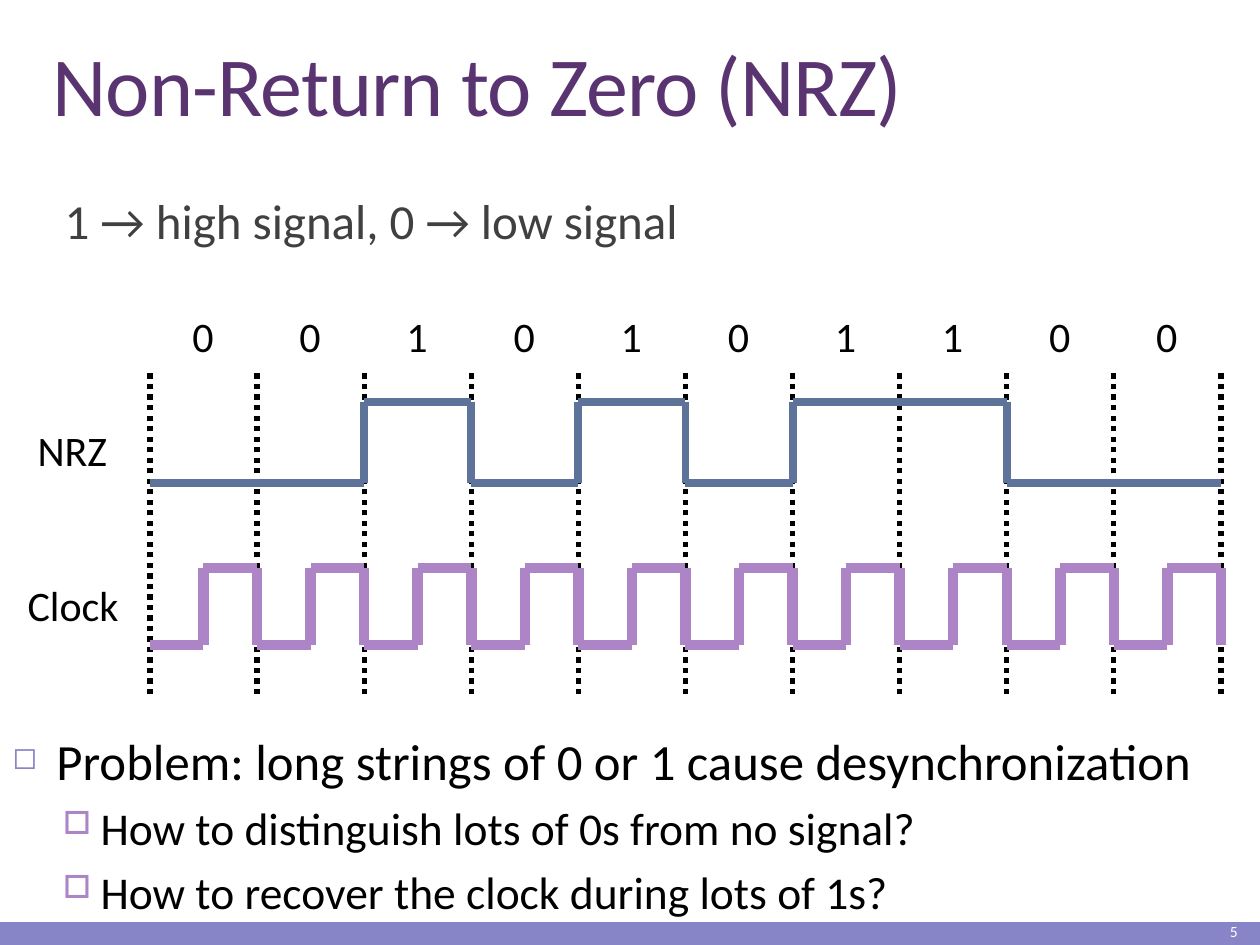
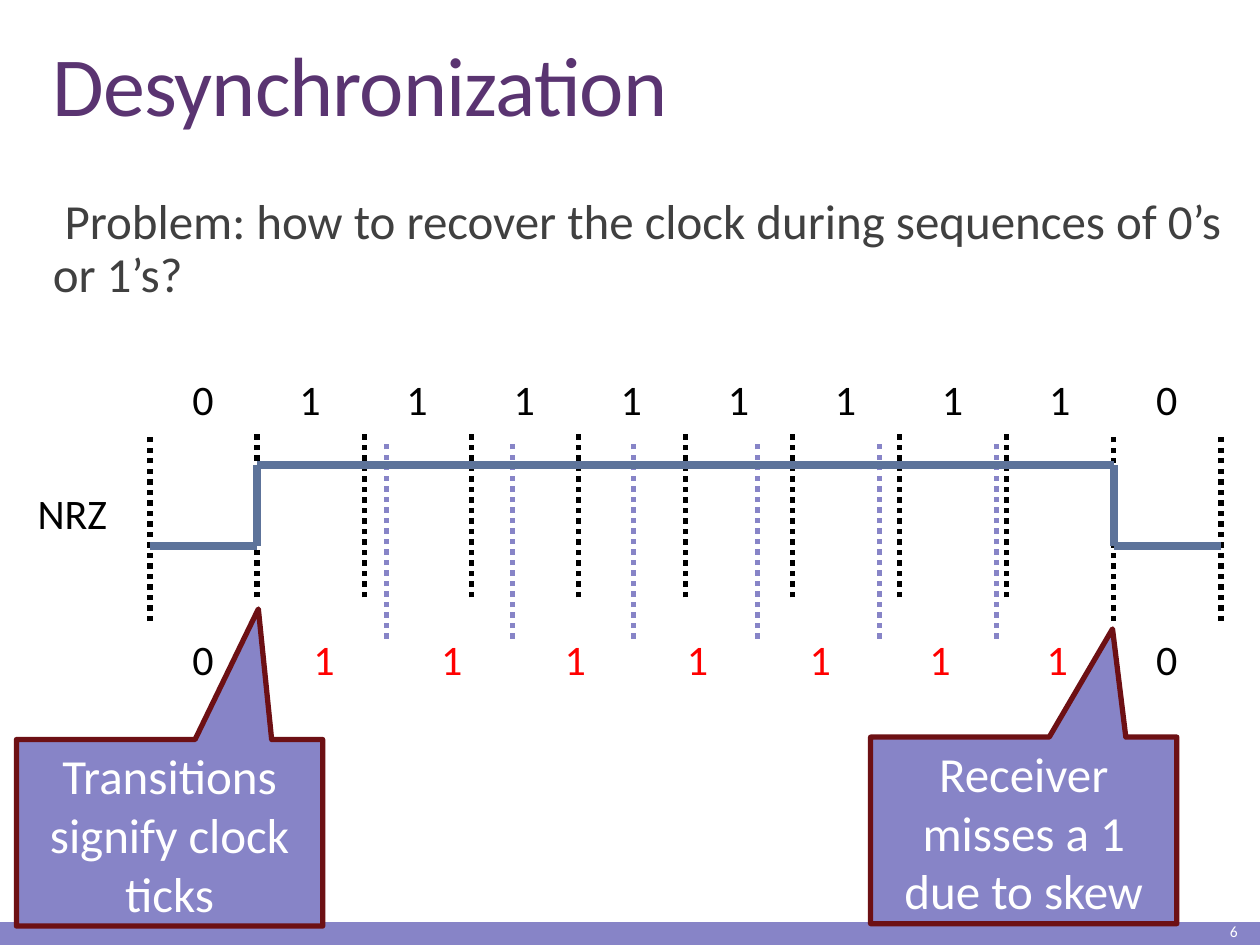
from itertools import groupby, pairwise

from lxml.etree import SubElement
from pptx import Presentation
from pptx.dml.color import RGBColor
from pptx.enum.dml import MSO_LINE
from pptx.enum.shapes import MSO_CONNECTOR, MSO_SHAPE
from pptx.enum.text import MSO_ANCHOR, PP_ALIGN
from pptx.oxml.ns import qn
from pptx.util import Pt

BAND = RGBColor(0x87, 0x84, 0xC7)
TITLE = RGBColor(0x5A, 0x34, 0x71)
BODY = RGBColor(0x40, 0x40, 0x40)
ORCHID = RGBColor(0xAD, 0x84, 0xC6)
SIGNAL = RGBColor(0x5D, 0x73, 0x9A)
MAROON = RGBColor(0x6D, 0x10, 0x14)
RED = RGBColor(0xFF, 0, 0)
BLACK = RGBColor(0, 0, 0)
WHITE = RGBColor(0xFF, 0xFF, 0xFF)

FONT = "Calibri"
SLIDE_W, SLIDE_H = 720, 540
GRID_X, BIT_W = 85.7, 61.2
SKEWED_TICKS = [221, 293, 362.2, 432.7, 502.6, 569.5]


def apply(obj, fmt):
    for name, value in fmt.items():
        setattr(obj, name, value)


def add_run(p, text, size, color):
    r = p.add_run()
    r.text = text
    apply(r.font, {"name": FONT, "size": Pt(size)})
    r.font.color.rgb = color
    return r


def add_text(s, box, text, size, color, frame=None, para=None):
    tf = s.shapes.add_textbox(*map(Pt, box)).text_frame
    apply(tf, {"word_wrap": True, **(frame or {})})
    p = tf.paragraphs[0]
    apply(p, para or {})
    add_run(p, text, size, color)
    return tf


def add_label(s, x, y, w, text, color=BLACK):
    add_text(s, (x, y, w, 36), text, 24, color, {"word_wrap": False})


def add_digit(s, center, y, text, color=BLACK):
    add_label(s, center - 13.5, y, 28, text, color)


def add_bullet(p, char, color, left, hang, percent=100):
    pPr = p._p.get_or_add_pPr()
    apply_xml = {"marL": Pt(left), "indent": Pt(-hang)}
    for name, value in apply_xml.items():
        pPr.set(name, str(value))
    SubElement(SubElement(pPr, qn("a:buClr")), qn("a:srgbClr"), val=str(color))
    SubElement(pPr, qn("a:buSzPct"), val=str(percent * 1000))
    SubElement(pPr, qn("a:buChar"), char=char)


def add_line(s, start, end, color, width, dash=None):
    c = s.shapes.add_connector(MSO_CONNECTOR.STRAIGHT, *map(Pt, (*start, *end)))
    apply(c.line, {"width": Pt(width), "dash_style": dash})
    c.line.color.rgb = color
    SubElement(c._element.spPr, qn("a:effectLst"))


def add_tick(s, x, top, bottom, color=BLACK):
    add_line(s, (x, bottom), (x, top), color, 3, MSO_LINE.ROUND_DOT)


def add_wave(s, box, levels, color, width, closing=False):
    """Draw a square wave, one equal step of the box for each level."""
    x, y, w, h = box
    step = w / len(levels)
    points = []
    for level, run in groupby(levels):
        height = y if level == "1" else y + h
        end = x + step * len(list(run))
        points += [(x, height), (end, height)]
        x = end
    if closing:
        points.append((x, y + h))
    for start, end in pairwise(points):
        add_line(s, start, end, color, width)


def add_base(prs, title, lead, number):
    s = prs.slides.add_slide(prs.slide_layouts[6])
    # Footer band and slide number
    band = s.shapes.add_shape(MSO_SHAPE.RECTANGLE, *map(Pt, (0, 527, SLIDE_W, 13)))
    band.shadow.inherit = False
    band.fill.solid()
    band.fill.fore_color.rgb = BAND
    band.line.fill.background()
    add_text(s, (636.5, 524.2, 77.8, 15.8), number, 8.9, WHITE,
             {"vertical_anchor": MSO_ANCHOR.MIDDLE}, {"alignment": PP_ALIGN.RIGHT})
    # Title
    tf = add_text(s, (23, 22.3, 682.6, 57.6), title, 48, TITLE,
                  {"vertical_anchor": MSO_ANCHOR.BOTTOM}, {"line_spacing": 0.85})
    tf.paragraphs[0].runs[0].font._element.set("spc", "-50")
    # Lead sentence
    tf = add_text(s, (23, 109.4, 682.6, 80), lead, 28, BODY,
                  {"margin_left": 0, "margin_right": 0},
                  {"line_spacing": 0.9, "space_after": Pt(2)})
    add_bullet(tf.paragraphs[0], " ", ORCHID, 7.2, 7.2)
    return s


def add_bit_chart(s, box, bits, short_ticks=(), short_h=0):
    """Place bit digits, dotted bit borders and the NRZ signal."""
    x, y, w, h = box
    step = w / len(bits)
    top = y + 36.8
    for i in range(len(bits) + 1):
        bottom = top + short_h if i in short_ticks else y + h
        add_tick(s, x + i * step, top, bottom)
    for i, bit in enumerate(bits):
        add_digit(s, x + (i + 0.5) * step, y, bit)
    add_label(s, x - 71.3, y + 64.8, 54.7, "NRZ")
    add_wave(s, (x, y + 55.5, w, 46.1), bits, SIGNAL, 4.5)


def add_clock(s, box, cycles):
    x, y = box[:2]
    add_wave(s, box, "01" * cycles, ORCHID, 6, closing=True)
    add_label(s, x - 77, y + 2.9, 67, "Clock")


def add_problems(s, box):
    tf = s.shapes.add_textbox(*map(Pt, box)).text_frame
    tf.word_wrap = True
    problem = ("◻", BAND, 25.2, 25.2, 60)
    question = ("□", ORCHID, 50.4, 21.6, 70)
    rows = [("Problem: long strings of 0 or 1 cause desynchronization", 29, problem),
            ("How to distinguish lots of 0s from no signal?", 26, question),
            ("How to recover the clock during lots of 1s?", 26, question)]
    for i, (text, size, bullet) in enumerate(rows):
        p = tf.add_paragraph() if i else tf.paragraphs[0]
        if i:
            apply(p, {"level": 1, "space_before": Pt(5.5)})
        add_bullet(p, *bullet)
        add_run(p, text, size, BLACK)


def add_received(s, box):
    """Place the digits the receiver reads between its skewed ticks."""
    x, y, w, h = box
    edges = [x + BIT_W, *SKEWED_TICKS, x + w - BIT_W]
    for start, end in pairwise(edges):
        add_digit(s, (start + end) / 2 + 1.5, y, "1", RED)
    for center in (x + BIT_W / 2, x + w - BIT_W / 2):
        add_digit(s, center, y, "0")


def add_callout(s, box, text, tip):
    sp = s.shapes.add_shape(MSO_SHAPE.RECTANGULAR_CALLOUT, *map(Pt, box))
    sp.shadow.inherit = False
    sp.adjustments[0], sp.adjustments[1] = tip
    sp.fill.solid()
    sp.fill.fore_color.rgb = BAND
    sp.line.color.rgb = MAROON
    sp.line.width = Pt(3)
    tf = sp.text_frame
    apply(tf, {"word_wrap": True, "vertical_anchor": MSO_ANCHOR.TOP})
    p = tf.paragraphs[0]
    p.alignment = PP_ALIGN.CENTER
    add_run(p, text, 28, WHITE)


def add_nrz_slide(prs):
    s = add_base(prs, "Non-Return to Zero (NRZ)", "1 → high signal, 0 → low signal", "5")
    bits = "0010101100"
    width = BIT_W * len(bits)
    add_bit_chart(s, (GRID_X, 174.2, width, 222.5), bits)
    add_clock(s, (GRID_X, 324.7, width, 43.9), len(bits))
    add_problems(s, (0, 413.3, SLIDE_W, 126.7))


def add_desync_slide(prs):
    s = add_base(prs, "Desynchronization",
                 "Problem: how to recover the clock during sequences of 0’s or 1’s?", "6")
    bits = "0111111110"
    width = BIT_W * len(bits)
    for x in SKEWED_TICKS:
        add_tick(s, x, 253.4, 365, BAND)
    add_bit_chart(s, (GRID_X, 210.2, width, 144.8), bits, range(1, 9), 94.3)
    add_received(s, (GRID_X, 358.2, width, 36))
    add_callout(s, (9.4, 422.6, 175, 106.6), "Transitions signify clock ticks", (0.29, -1.2))
    add_callout(s, (497.5, 421.2, 175, 106.6), "Receiver misses a 1 due to skew", (0.29, -1.08))


def main():
    prs = Presentation()
    apply(prs, {"slide_width": Pt(SLIDE_W), "slide_height": Pt(SLIDE_H)})
    add_nrz_slide(prs)
    add_desync_slide(prs)
    prs.save("out.pptx")


if __name__ == "__main__":
    main()
